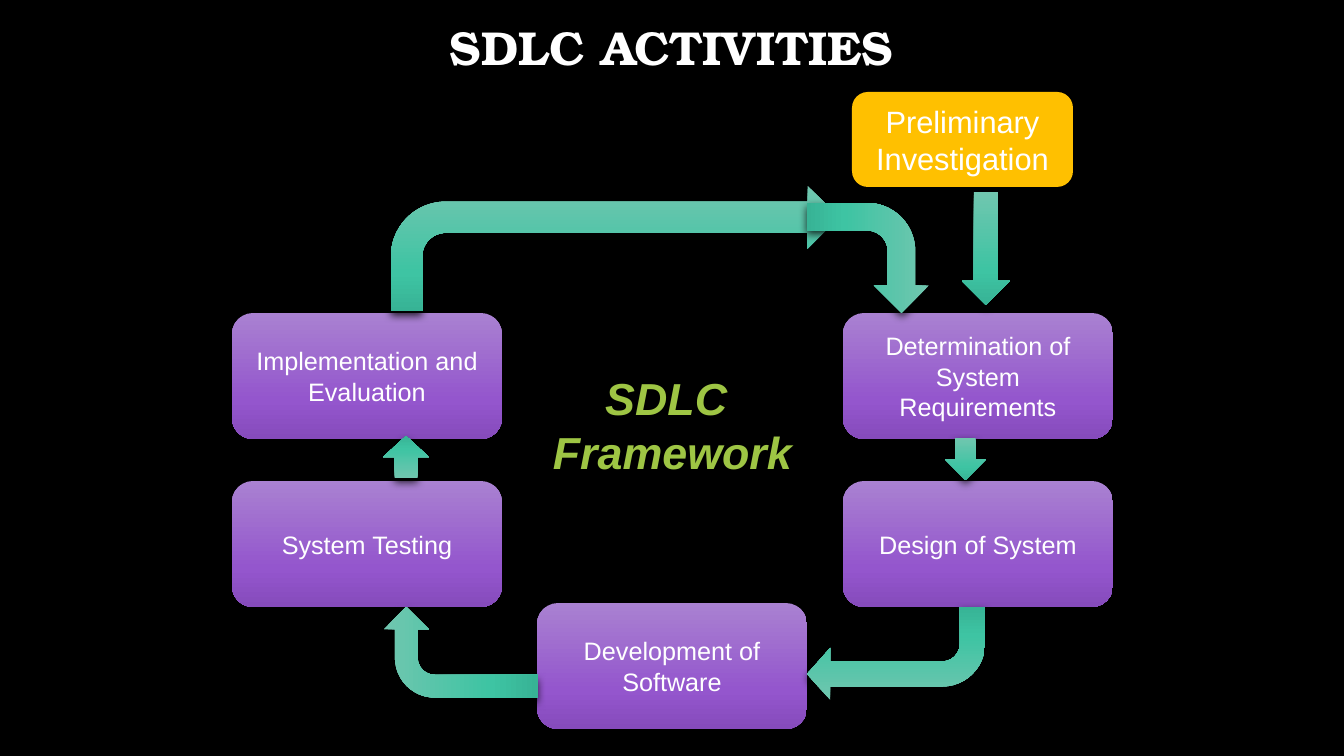
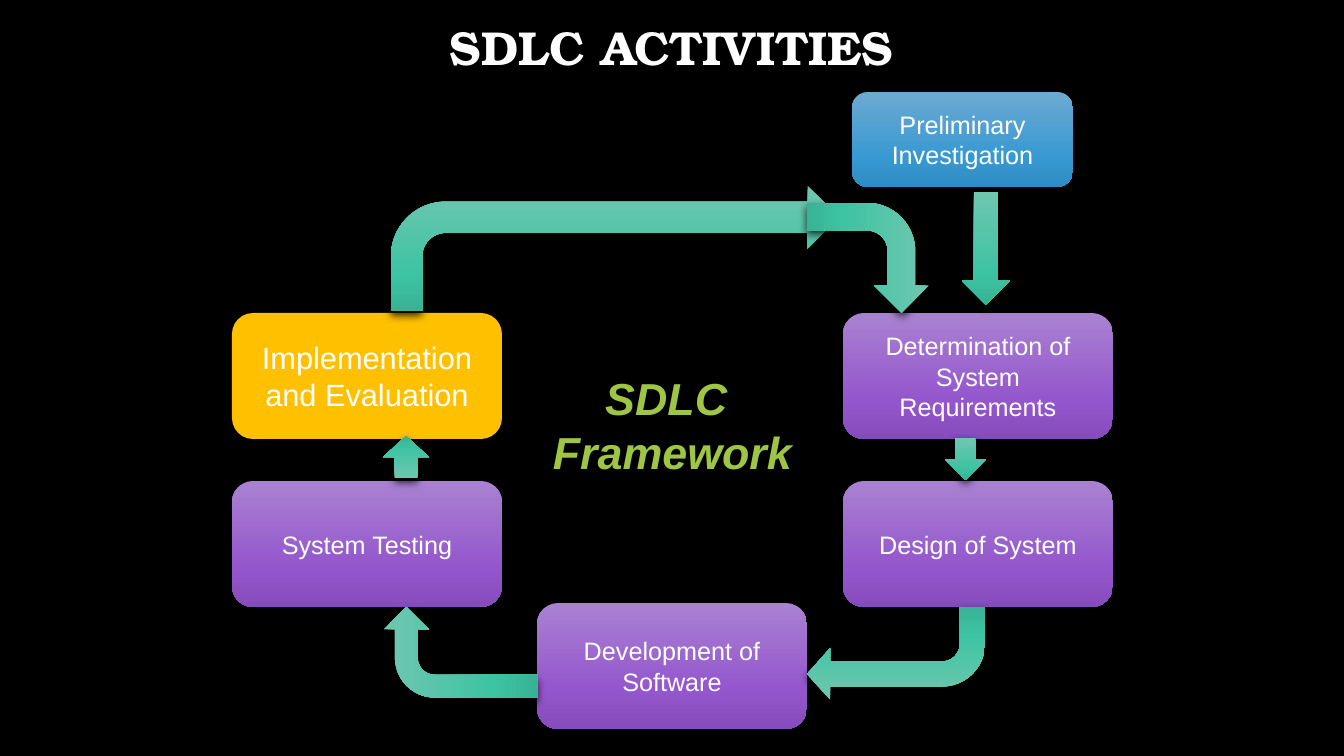
import copy
from dataclasses import dataclass

import lxml.etree
import pptx
import pptx.dml.color
import pptx.enum.shapes
import pptx.enum.text
import pptx.oxml.ns
import pptx.util

SCALE = 914400 / 100.8  # EMU in one px
KIND = pptx.enum.shapes.MSO_SHAPE
MID = pptx.enum.text.MSO_ANCHOR.MIDDLE
MODE = pptx.enum.text.MSO_AUTO_SIZE
CENTER = pptx.enum.text.PP_ALIGN.CENTER


@dataclass(frozen=True)
class Theme:
    back: str = "000000"
    text: str = "FFFFFF"
    label: str = "9EC544"
    focus: str = "FFC000"
    blue: tuple = ("6DAAD2", "3799D2", "2F8CC2")
    purple: tuple = ("A981D1", "9456CD", "864BBC")
    green: tuple = ("70C6AF", "3EC4A3", "37B395")
    stops: tuple = (0, 0.69, 1)
    head: str = "TeX Gyre Bonum"
    body: str = "Arial"
    title: int = 34
    center: int = 32
    large: int = 22
    small: int = 18


THEME = Theme()

# Steps: text, place in px, fill
WIDE, HIGH = 270, 126
LEFT, MIDDLE, RIGHT = 232, 537, 843
UPPER, LOWER, BASE = 313, 481, 603
START = "Preliminary Investigation"
FINISH = "Implementation and Evaluation"
STEPS = [(START, (852, 92, 221, 95), THEME.blue)] + [
    (text, (x, y, WIDE, HIGH), THEME.purple)
    for text, x, y in [
        ("Determination of System Requirements", RIGHT, UPPER),
        ("Design of System", RIGHT, LOWER),
        ("Development of Software", MIDDLE, BASE),
        ("System Testing", LEFT, LOWER),
        (FINISH, LEFT, UPPER),
    ]
]

# Arrows: kind, place in px, turn, adjustments
ARROWS = [
    (KIND.BENT_ARROW, (807, 607, 178, 93), 180, (0.27, 0.28, 0.25, 0.46)),
    (KIND.DOWN_ARROW, (945, 438, 41, 42), 0, ()),
    (KIND.DOWN_ARROW, (383, 436, 46, 42), 180, ()),
    (KIND.BENT_ARROW, (415, 575, 91, 154), 270, ()),
    (KIND.BENT_ARROW, (391, 186, 448, 125), 0, ()),
    (KIND.BENT_ARROW, (813, 197, 110, 122), 90, ()),
    (KIND.DOWN_ARROW, (962, 192, 48, 113), 0, ()),
]


def emu(*sizes):
    return [pptx.util.Emu(round(size * SCALE)) for size in sizes]


def rgb(code):
    return pptx.dml.color.RGBColor.from_string(code)


def paint(fill, color):
    fill.solid()
    fill.fore_color.rgb = rgb(color)


def blend(shape, colors):
    """Fill from top to bottom with three stops."""
    shape.fill.gradient()
    shape.fill.gradient_angle = 270
    stops = shape._element.spPr.find(".//" + pptx.oxml.ns.qn("a:gsLst"))
    stops.append(copy.deepcopy(stops[-1]))
    for stop, place, color in zip(shape.fill.gradient_stops, THEME.stops, colors):
        stop.position = place
        stop.color.rgb = rgb(color)


def shade(shape):
    """Cast a soft shadow downwards."""
    shape.shadow.inherit = False
    qn = pptx.oxml.ns.qn
    effect = shape._element.spPr.find(qn("a:effectLst"))
    outer = lxml.etree.SubElement(
        effect, qn("a:outerShdw"), blurRad="76200", dist="38100",
        dir="5400000", algn="ctr", rotWithShape="0")
    color = lxml.etree.SubElement(outer, qn("a:srgbClr"), val="000000")
    lxml.etree.SubElement(color, qn("a:alpha"), val="76000")


def style(par, face, size, color, bold=False, slant=False):
    par.alignment = CENTER
    font = par.font
    font.name, font.size = face, pptx.util.Pt(size)
    font.bold, font.italic = bold, slant
    font.color.rgb = rgb(color)


def add_form(slide, kind, place, fill):
    shape = slide.shapes.add_shape(kind, *emu(*place))
    shape.line.fill.background()
    if isinstance(fill, str):
        paint(shape.fill, fill)
    else:
        blend(shape, fill)
    shade(shape)
    return shape


def add_step(slide, text, place, fill, focus):
    shape = add_form(slide, KIND.ROUNDED_RECTANGLE, place,
                     THEME.focus if focus else fill)
    frame = shape.text_frame
    frame.word_wrap = True
    frame.vertical_anchor = MID
    frame.text = text
    style(frame.paragraphs[0], THEME.body,
          THEME.large if focus else THEME.small, THEME.text)


def add_arrow(slide, kind, place, turn, adjust):
    arrow = add_form(slide, kind, place, THEME.green)
    arrow.rotation = turn
    for index, value in enumerate(adjust):
        arrow.adjustments[index] = value


def add_title(slide, text):
    frame = slide.shapes.add_textbox(*emu(101, -23, 1141, 146)).text_frame
    frame.word_wrap = True
    frame.vertical_anchor = MID
    frame.text = text
    par = frame.paragraphs[0]
    par.line_spacing = 0.9
    style(par, THEME.head, THEME.title, THEME.text, bold=True)


def add_label(slide, text):
    frame = slide.shapes.add_textbox(*emu(542, 366, 261, 119)).text_frame
    frame.word_wrap = False
    frame.auto_size = MODE.SHAPE_TO_FIT_TEXT
    frame.text = text
    for par in frame.paragraphs:
        style(par, THEME.body, THEME.center, THEME.label, bold=True, slant=True)


def add_cycle(deck, focus):
    """Build one slide with the step in focus picked out."""
    slide = deck.slides.add_slide(deck.slide_layouts[6])
    paint(slide.background.fill, THEME.back)
    add_title(slide, "SDLC ACTIVITIES")
    for text, place, fill in STEPS:
        add_step(slide, text, place, fill, text == focus)
    for arrow in ARROWS:
        add_arrow(slide, *arrow)
    add_label(slide, "SDLC \nFramework")


def main():
    deck = pptx.Presentation()
    deck.slide_width, deck.slide_height = emu(1344, 756)
    for focus in (START, FINISH):
        add_cycle(deck, focus)
    deck.save("out.pptx")


if __name__ == "__main__":
    main()
